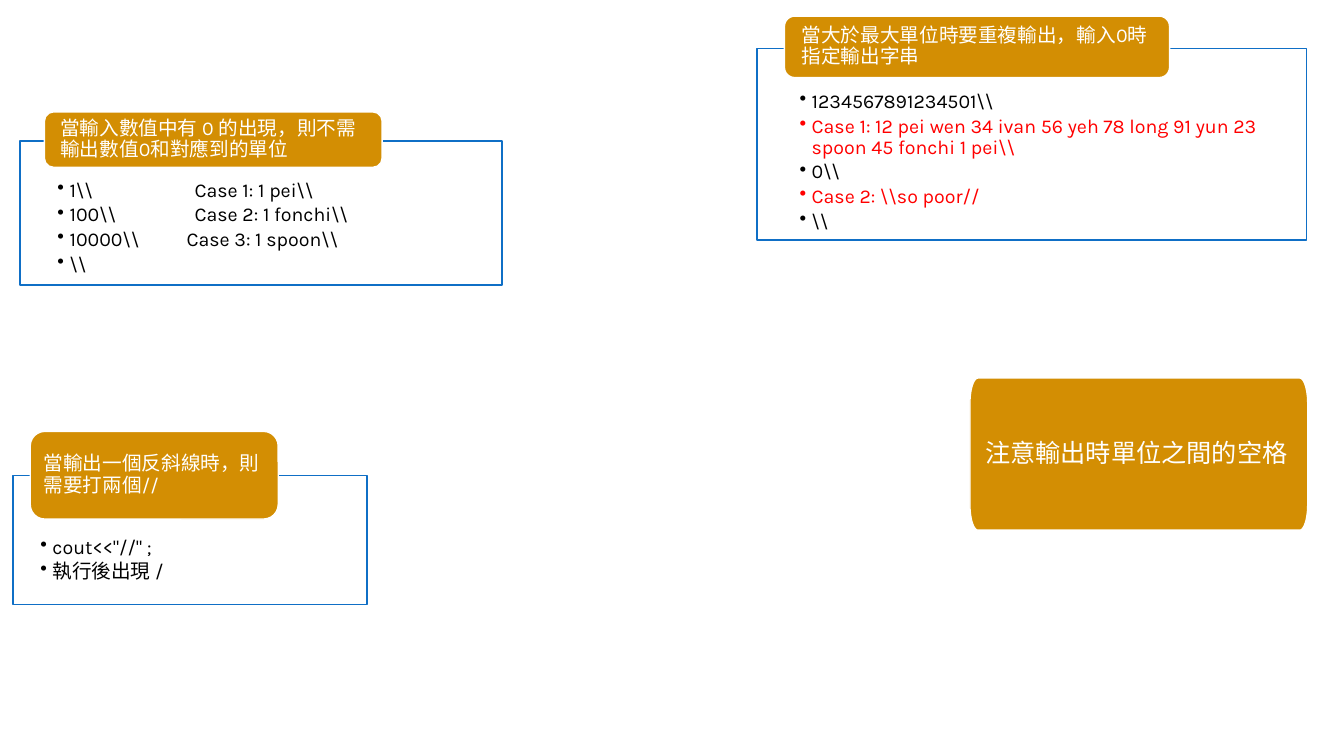
from math import cos, pi, sin

from lxml.etree import SubElement
from pptx import Presentation
from pptx.dml.color import RGBColor
from pptx.enum.shapes import MSO_SHAPE
from pptx.enum.text import MSO_ANCHOR, PP_ALIGN
from pptx.oxml.ns import qn
from pptx.util import Pt

PX = 9144  # EMU per px, 100 px to the inch
FONT = "Karla"
COLORS = {"white": "FFFFFF", "black": "000000", "red": "FF0000",
          "gold": "D38E03", "blue": "0F6FC6"}

# frame box, frame insets, header box, header inset, header, items: (text, colour, tab stop)
PANELS = [
    ((20, 140, 478, 143), (37, 39), (44, 111, 335, 55), 13,
     "當輸入數值中有 0 的出現，則不需輸出數值0和對應到的單位",
     [("1\\\\\tCase 1: 1 pei\\\\", "black", 136),
      ("100\\\\\tCase 2: 1 fonchi\\\\", "black", 136),
      ("10000\\\\\tCase 3: 1 spoon\\\\", "black", 128),
      ("\\\\", "black", None)]),
    ((751, 48, 545, 190), (42, 43), (778, 16, 382, 61), 14,
     "當大於最大單位時要重複輸出，輸入0時指定輸出字串",
     [("1234567891234501\\\\", "black", None),
      ("Case 1: 12 pei wen 34 ivan 56 yeh 78 long 91 yun 23 spoon 45 fonchi 1 pei\\\\",
       "red", None),
      ("0\\\\", "black", None),
      ("Case 2: \\\\so poor//", "red", None),
      ("\\\\", "black", None)]),
    ((13, 472, 351, 128), (27, 61), (30, 428, 246, 87), 9,
     "當輸出一個反斜線時，則需要打兩個//",
     [('cout<<"//" ;', "black", None),
      ("執行後出現 /", "black", None)]),
]


def rgb(name):
    return RGBColor.from_string(COLORS[name])


def paint(sp, fill, line):
    sp.shadow.inherit = False
    sp.fill.solid()
    sp.fill.fore_color.rgb = rgb(fill)
    sp.line.color.rgb = rgb(line)
    sp.line.width = Pt(1)


def set_frame(sp, anchor, left, top, bottom):
    tf = sp.text_frame
    tf.word_wrap = True
    tf.vertical_anchor = anchor
    tf.margin_left = tf.margin_right = left * PX
    tf.margin_top, tf.margin_bottom = top * PX, bottom * PX
    return tf


def format_paragraph(p, size, color, after):
    p.alignment = PP_ALIGN.LEFT
    p.line_spacing = 0.9
    p.space_after = Pt(after)
    for r in p.runs:
        r.font.name = FONT
        r.font.size = Pt(size)
        r.font.color.rgb = rgb(color)


def add_bullet(p, tab):
    pPr = p._p.get_or_add_pPr()
    pPr.set("marL", str(12 * PX))
    pPr.set("indent", str(-12 * PX))
    SubElement(pPr, qn("a:buChar")).set("char", "•")
    if tab:
        stop = SubElement(SubElement(pPr, qn("a:tabLst")), qn("a:tab"))
        stop.set("pos", str(tab * PX))
        stop.set("algn", "l")


def add_box(s, kind, box, fill, line):
    sp = s.shapes.add_shape(kind, *(v * PX for v in box))
    paint(sp, fill, line)
    return sp


def add_label(sp, text, size, inset, margin):
    tf = set_frame(sp, MSO_ANCHOR.MIDDLE, inset, margin, margin)
    tf.text = text
    format_paragraph(tf.paragraphs[0], size, "white", 0)


def add_panel(s, frame, insets, header, header_inset, title, items):
    # Outlined frame with the bullet list
    sp = add_box(s, MSO_SHAPE.RECTANGLE, frame, "white", "blue")
    color = sp.fill._xPr.find(qn("a:solidFill"))[0]
    SubElement(color, qn("a:alpha")).set("val", "90000")
    tf = set_frame(sp, MSO_ANCHOR.TOP, *insets, 11)
    for i, (text, text_color, tab) in enumerate(items):
        p = tf.add_paragraph() if i else tf.paragraphs[0]
        p.text = text
        add_bullet(p, tab)
        format_paragraph(p, 14, text_color, 2.4)
    # Header on the top edge
    sp = add_box(s, MSO_SHAPE.ROUNDED_RECTANGLE, header, "gold", "white")
    add_label(sp, title, 14, header_inset, 0)


def add_elliptic_card(s, box, rx, ry, text):
    """Box whose corners are quarter ellipses."""
    x, y, w, h = box
    centers = [(x + w - rx, y + h - ry), (x + rx, y + h - ry),
               (x + rx, y + ry), (x + w - rx, y + ry)]
    steps = 12
    points = []
    for quarter, (cx, cy) in enumerate(centers):
        for i in range(steps + 1):
            a = (quarter + i / steps) * pi / 2
            points.append(((cx + rx * cos(a)) * PX, (cy + ry * sin(a)) * PX))
    builder = s.shapes.build_freeform(*points[0])
    builder.add_line_segments(points[1:], close=True)
    sp = builder.convert_to_shape()
    paint(sp, "gold", "white")
    add_label(sp, text, 18, 15, 2)


def main():
    prs = Presentation()
    prs.slide_width, prs.slide_height = 1333 * PX, 750 * PX
    s = prs.slides.add_slide(prs.slide_layouts[6])
    for panel in PANELS:
        add_panel(s, *panel)
    add_elliptic_card(s, (962, 375, 335, 151), 8, 25, "注意輸出時單位之間的空格")
    prs.save("out.pptx")


if __name__ == "__main__":
    main()
